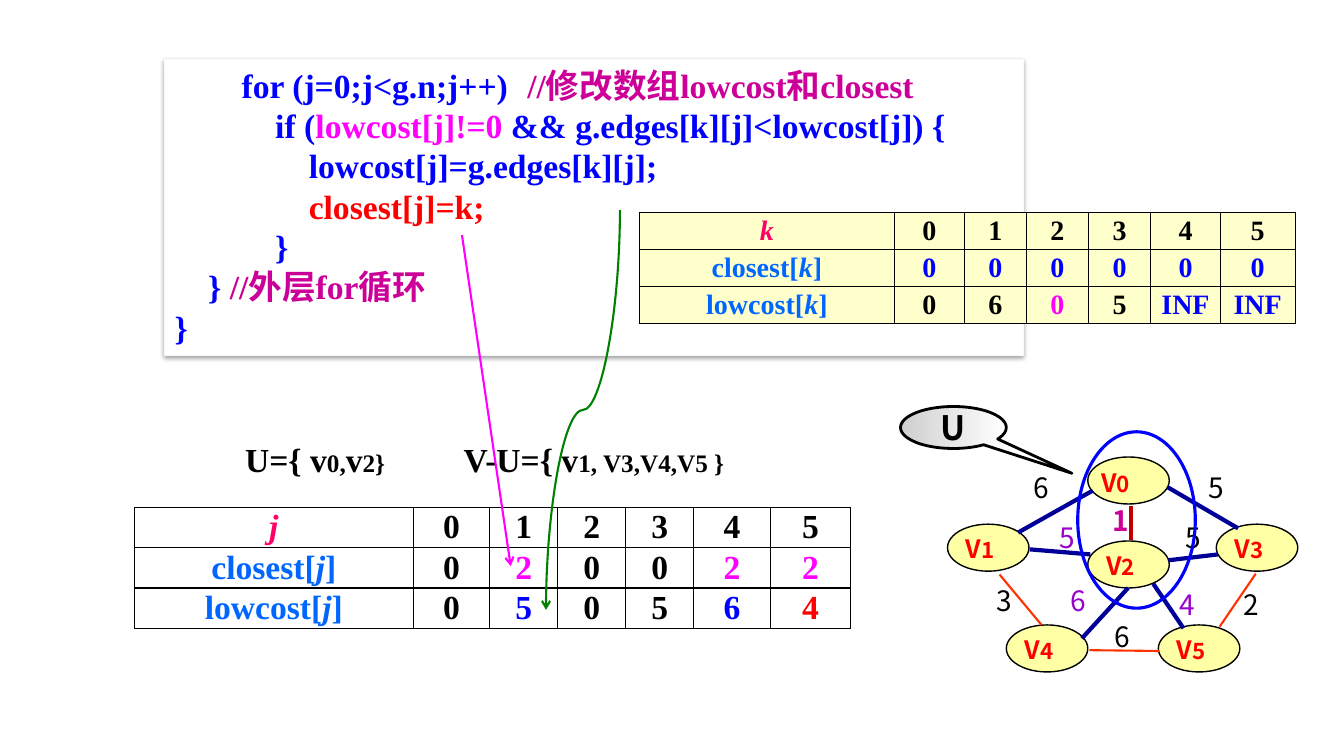
from dataclasses import dataclass
from typing import Optional

from lxml import etree
from pptx import Presentation
from pptx.dml.color import RGBColor
from pptx.enum.shapes import MSO_CONNECTOR, MSO_SHAPE
from pptx.enum.text import MSO_ANCHOR, PP_ALIGN
from pptx.oxml.ns import qn
from pptx.util import Inches, Pt

LEFT, CENTER = PP_ALIGN.LEFT, PP_ALIGN.CENTER
TOP, MIDDLE = MSO_ANCHOR.TOP, MSO_ANCHOR.MIDDLE
STRAIGHT, CURVE = MSO_CONNECTOR.STRAIGHT, MSO_CONNECTOR.CURVE
RECTANGLE, OVAL = MSO_SHAPE.RECTANGLE, MSO_SHAPE.OVAL
CALLOUT = MSO_SHAPE.OVAL_CALLOUT

SERIF, SANS = "Times New Roman", "Noto Sans CJK SC"
COLS, ROWS = 160, 90  # square grid cells, twelve to the inch
CELL = Inches(1 / 12)
COLORS = {
    "black": "000000", "white": "FFFFFF", "frame": "F9F9F9", "silver": "CFCFCF",
    "blue": "0000FF", "sky": "0066FF", "navy": "000099", "purple": "9900CC",
    "plum": "CC0099", "pink": "FF00FF", "rose": "FF0066", "red": "FF0000",
    "orange": "FF3300", "maroon": "C00000", "green": "008000",
    "node": "FFFFA5", "cream": "FFFFCC",
}


@dataclass
class Part:
    text: str
    color: Optional[str] = None
    size: Optional[float] = None
    italic: bool = False


@dataclass
class Vertex:
    index: int
    x: float
    y: float
    label_dx: float = 1
    label_dy: float = 0.5


@dataclass
class Edge:
    start: tuple[float, float]
    end: tuple[float, float]
    color: str = "navy"
    width: float = 3


@dataclass
class Weight:
    value: str
    center_x: float
    y: float
    color: str = "black"
    bold: bool = False


@dataclass
class ArrayTable:
    index: str
    x: float
    y: float
    columns: list[float]
    row: float
    size: float
    fill: Optional[str]
    closest: list[Part]
    lowcost: list[Part]


def grid(*cells: float) -> list[int]:
    return [round(n * CELL) for n in cells]


def rgb(color: str) -> RGBColor:
    return RGBColor.from_string(COLORS[color])


def write(frame, lines: list[list[Part]], *, size: float, font: str = SERIF, color: str = "black",
          bold: bool = True, align=LEFT, anchor=TOP, wrap: bool = True) -> None:
    frame.word_wrap = wrap
    frame.vertical_anchor = anchor
    for number, parts in enumerate(lines):
        paragraph = frame.add_paragraph() if number else frame.paragraphs[0]
        paragraph.alignment = align
        for part in parts:
            run = paragraph.add_run()
            run.text = part.text
            run.font.name, run.font.size = font, Pt(part.size or size)
            run.font.bold, run.font.italic = bold, part.italic
            run.font.color.rgb = rgb(part.color or color)
            etree.SubElement(run.font._element, qn("a:ea"), typeface=SANS)


def add_label(x: float, y: float, w: float, h: float, parts: list[Part], **style) -> None:
    write(slide.shapes.add_textbox(*grid(x, y, w, h)).text_frame, [parts], **style)


def add_figure(kind, x: float, y: float, w: float, h: float, *, fill: Optional[str], line: str, width: float):
    figure = slide.shapes.add_shape(kind, *grid(x, y, w, h))
    figure.shadow.inherit = False
    if fill:
        figure.fill.solid()
        figure.fill.fore_color.rgb = rgb(fill)
    else:
        figure.fill.background()
    figure.line.color.rgb = rgb(line)
    figure.line.width = Pt(width)
    return figure


def add_line(edge: Edge, kind=STRAIGHT, arrow: bool = False):
    connector = slide.shapes.add_connector(kind, *grid(*edge.start, *edge.end))
    connector.line.color.rgb = rgb(edge.color)
    connector.line.width = Pt(edge.width)
    properties = connector.element.spPr
    if arrow:
        etree.SubElement(properties.find(qn("a:ln")), qn("a:tailEnd"), type="arrow")
    etree.SubElement(properties, qn("a:effectLst"))
    return connector


def add_falling_curve(start: tuple[float, float], end: tuple[float, float], color: str) -> None:
    """Draw a curve that leaves and arrives vertically: a level one turned by 90 degrees."""
    middle_x, middle_y = (start[0] + end[0]) / 2, (start[1] + end[1]) / 2
    half_fall, half_shift = (end[1] - start[1]) / 2, (start[0] - end[0]) / 2
    level = Edge((middle_x - half_fall, middle_y - half_shift),
                 (middle_x + half_fall, middle_y + half_shift), color, 1.5)
    add_line(level, CURVE, arrow=True).element.spPr.find(qn("a:xfrm")).set("rot", "5400000")


def add_borders(cell) -> None:
    properties = cell._tc.get_or_add_tcPr()
    for place, side in enumerate(("lnL", "lnR", "lnT", "lnB")):
        border = etree.Element(qn(f"a:{side}"), w=str(Pt(1)))
        paint = etree.SubElement(border, qn("a:solidFill"))
        etree.SubElement(paint, qn("a:srgbClr"), val=COLORS["black"])
        properties.insert(place, border)


def add_array_table(spec: ArrayTable) -> None:
    heads = [[Part(spec.index, "rose", italic=True)]]
    heads += [[Part(f"{name}[", "sky"), Part(spec.index, "sky", italic=True), Part("]", "sky")]
              for name in ("closest", "lowcost")]
    bodies = [[Part(str(n)) for n in range(6)], spec.closest, spec.lowcost]
    place = grid(spec.x, spec.y, sum(spec.columns), spec.row * len(heads))
    table = slide.shapes.add_table(len(heads), len(spec.columns), *place).table
    table.first_row = table.horz_banding = False
    for column, width in zip(table.columns, grid(*spec.columns)):
        column.width = width
    for row, head, body in zip(table.rows, heads, bodies):
        row.height = grid(spec.row)[0]
        for cell, parts in zip(row.cells, [head] + [[part] for part in body]):
            cell.margin_left = cell.margin_right = Inches(0.07)
            cell.margin_top = cell.margin_bottom = 0
            if spec.fill:
                cell.fill.solid()
                cell.fill.fore_color.rgb = rgb(spec.fill)
            else:
                cell.fill.background()
            add_borders(cell)
            write(cell.text_frame, [parts], size=spec.size, align=CENTER)
            cell.vertical_anchor = MIDDLE


CODE = [
    [Part("        for (j=0;j<g.n;j++)\t"), Part("//修改数组lowcost和closest", "plum")],
    [Part("            if ("), Part("lowcost[j]!=0", "pink"), Part(" && g.edges[k][j]<lowcost[j]) {")],
    [Part("                lowcost[j]=g.edges[k][j];")],
    [Part("                closest[j]=k;", "red")],
    [Part("            }")],
    [Part("    } "), Part("//外层for循环", "plum")],
    [Part("}")],
]
AFTER = ArrayTable(
    "j", 16, 60.4, [33.2, 9.1, 8.1, 8.1, 8.1, 9.1, 9.6], 4.8, 24, None,
    [Part("0"), Part("2", "pink"), Part("0"), Part("0"), Part("2", "pink"), Part("2", "pink")],
    [Part("0"), Part("5", "blue"), Part("0"), Part("5"), Part("6", "blue"), Part("4", "red")])
BEFORE = ArrayTable(
    "k", 76.1, 25.3, [30.4, 8.3, 7.4, 7.4, 7.4, 8.3, 8.9], 4.4, 20, "cream",
    [Part("0", "blue")] * 6,
    [Part("0"), Part("6"), Part("0", "pink"), Part("5"), Part("INF", "blue"), Part("INF", "blue")])
VERTICES = [
    Vertex(2, 129.5, 64.4), Vertex(0, 129.5, 54.4, 0.4, 0.6), Vertex(3, 144.8, 62.4),
    Vertex(5, 137.9, 74.4), Vertex(4, 119.8, 74.4), Vertex(1, 112.8, 62.4),
]
OTHER_EDGES = [
    Edge((119, 68.4), (124, 74.4), "orange", 1.5), Edge((149.5, 68.3), (145.2, 74.6), "orange", 1.5),
    Edge((129.7, 77.4), (138, 77.5), "orange", 1.5), Edge((134.6, 60.2), (134.6, 64.3), "maroon"),
]
CUT_EDGES = [
    Edge((130.1, 58.4), (121.2, 63.4)), Edge((139, 58), (147.4, 62.9)), Edge((129.8, 66), (122.6, 65.4)),
    Edge((145, 66), (139.1, 66.7)), Edge((134.3, 70), (128.8, 76)), Edge((137.3, 69.5), (140.9, 74.8)),
]
WEIGHTS = [
    Weight("3", 119.5, 68.9), Weight("6", 124, 55.4), Weight("5", 144.8, 55.4), Weight("2", 149, 69.4),
    Weight("1", 133.4, 59.4, "plum", True), Weight("6", 128.4, 68.9, "purple"), Weight("5", 142, 61.4),
    Weight("5", 127, 61.4, "purple"), Weight("4", 141.3, 69.4, "purple"), Weight("6", 133.6, 73.1),
]

deck = Presentation()
deck.slide_width, deck.slide_height = grid(COLS, ROWS)
slide = deck.slides.add_slide(deck.slide_layouts[6])

code_box = add_figure(RECTANGLE, 19.6, 7.1, 102.2, 35.2, fill="white", line="frame", width=0.75)
glow = etree.SubElement(code_box.element.spPr.find(qn("a:effectLst")), qn("a:outerShdw"),
                        blurRad=str(Pt(3.1)), dist=str(Pt(1.6)), dir="5400000", rotWithShape="0")
shade = etree.SubElement(glow, qn("a:srgbClr"), val=COLORS["black"])
etree.SubElement(shade, qn("a:alpha"), val="38000")
write(code_box.text_frame, CODE, size=24, color="blue")

add_label(28, 51.7, 23, 6, [Part("U={ v"), Part("0,", size=18), Part("v"), Part("2}", size=18)], size=24)
add_label(54, 51.7, 45, 6, [Part("V-U={ v"), Part("1, V3,V4,V5 }", size=18)], size=24)
add_array_table(AFTER)
add_falling_curve((73.8, 25), (65, 72.6), "green")
add_line(Edge((55, 28), (60.8, 67.4), "pink", 1.5), arrow=True)

for vertex in VERTICES:
    add_figure(OVAL, vertex.x, vertex.y, 9.7, 5.6, fill="node", line="black", width=1)
    add_label(vertex.x + vertex.label_dx, vertex.y + vertex.label_dy, 8.6, 8,
              [Part("V"), Part(str(vertex.index), size=16)], size=18, font=SANS, color="red")
for edge in OTHER_EDGES:
    add_line(edge)
for weight in WEIGHTS:
    add_label(weight.center_x - 2.8, weight.y, 5.6, 5.2, [Part(weight.value)], size=20, font=SANS,
              color=weight.color, bold=weight.bold, align=CENTER)
for edge in CUT_EDGES:
    add_line(edge)

add_figure(OVAL, 128.3, 51.4, 14, 21, fill=None, line="blue", width=2.25)
u_callout = add_figure(CALLOUT, 107.2, 48.4, 12.6, 5, fill="white", line="black", width=2)
u_callout.adjustments[0], u_callout.adjustments[1] = 1.12, 1.09
u_callout.fill.gradient()
u_callout.fill.gradient_angle = 0
for stop, color in zip(u_callout.fill.gradient_stops, ("silver", "white")):
    stop.color.rgb = rgb(color)
write(u_callout.text_frame, [[Part("U")]], size=24, font=SANS, align=CENTER, anchor=MIDDLE, wrap=False)
add_array_table(BEFORE)

deck.save("out.pptx")
